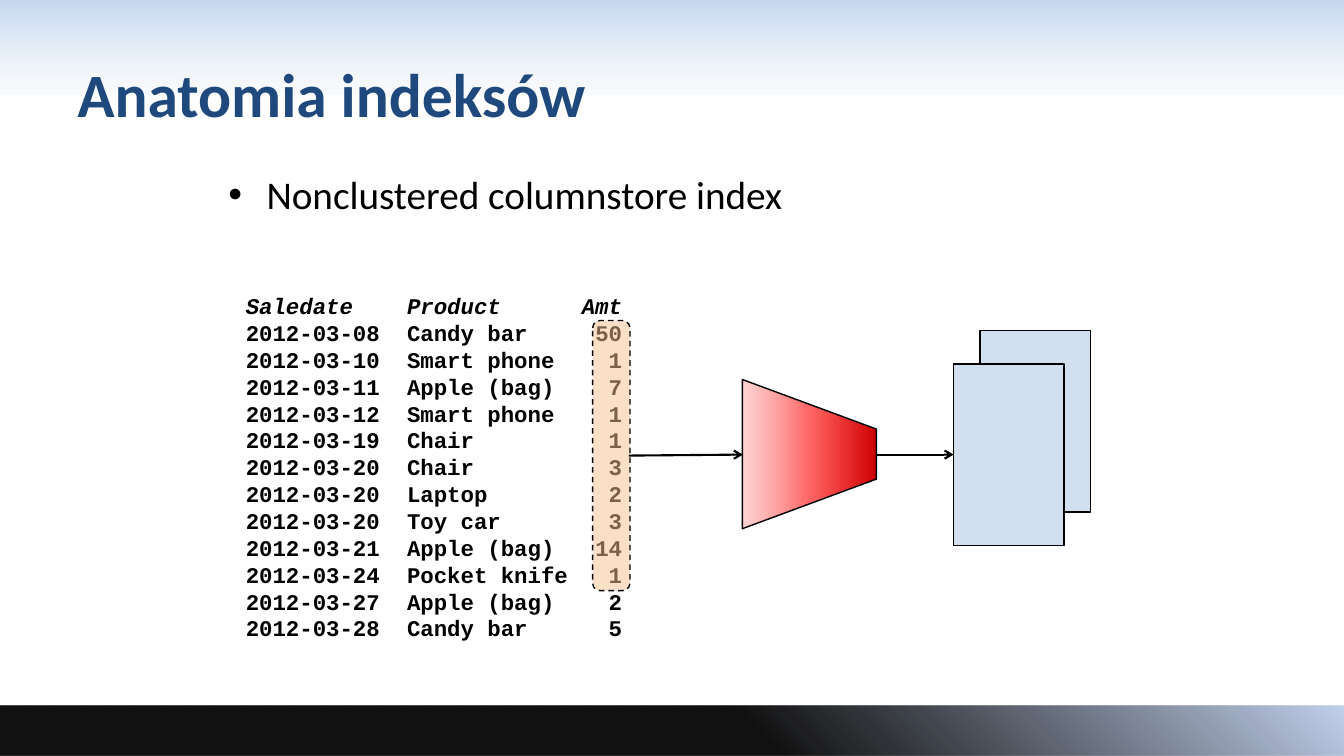
"""Builds a slide on how a columnstore index packs one column into pages."""
from lxml import etree
from pptx import Presentation
from pptx.dml.color import RGBColor
from pptx.enum.dml import MSO_LINE
from pptx.enum.shapes import MSO_CONNECTOR, MSO_SHAPE
from pptx.enum.text import MSO_ANCHOR, PP_ALIGN
from pptx.oxml.ns import qn
from pptx.util import Inches, Pt

RECT, ROUND, TRAP = MSO_SHAPE.RECTANGLE, MSO_SHAPE.ROUNDED_RECTANGLE, MSO_SHAPE.TRAPEZOID
LINE, DASH = MSO_CONNECTOR.STRAIGHT, MSO_LINE.DASH
LEFT, TOP, MID = PP_ALIGN.LEFT, MSO_ANCHOR.TOP, MSO_ANCHOR.MIDDLE

HUES = {"ink": "000000", "white": "FFFFFF", "navy": "1F497D", "sky": "C6D9F1",
        "mist": "E1E8F5", "haze": "C2D1ED", "peach": "FAC090", "blue": "4F81BD",
        "dark": "CC0000", "red": "FF0000", "rose": "FF3333"}

SALES = [("Saledate", "Product", "Amt"),
         ("2012-03-08", "Candy bar", "50"),
         ("2012-03-10", "Smart phone", "1"),
         ("2012-03-11", "Apple (bag)", "7"),
         ("2012-03-12", "Smart phone", "1"),
         ("2012-03-19", "Chair", "1"),
         ("2012-03-20", "Chair", "3"),
         ("2012-03-20", "Laptop", "2"),
         ("2012-03-20", "Toy car", "3"),
         ("2012-03-21", "Apple (bag)", "14"),
         ("2012-03-24", "Pocket knife", "1"),
         ("2012-03-27", "Apple (bag)", "2"),
         ("2012-03-28", "Candy bar", "5")]


def cell(num):
    return Inches(num / 3)


def hue(name):
    return RGBColor.from_string(HUES[name])


def sub(node, tag, **attrs):
    return etree.SubElement(node, qn(tag), {key: str(val) for key, val in attrs.items()})


def fade(node, share):
    if share < 100:
        sub(node, "a:alpha", val=share * 1000)


def write(par, text, font="Calibri", size=28, color="ink", bold=False, slant=False,
          bullet=None, tabs=()):
    props = par._p.get_or_add_pPr()
    par.alignment = LEFT
    if bullet:
        props.set("marL", str(Inches(0.38)))
        props.set("indent", str(-Inches(0.38)))
        sub(props, "a:buFont", typeface="Arial")
        sub(props, "a:buChar", char=bullet)
    if tabs:
        stops = sub(props, "a:tabLst")
        for pos, side in tabs:
            sub(stops, "a:tab", pos=cell(pos), algn=side)
    run = par.add_run()
    run.text = text
    face = run.font
    face.name, face.size, face.bold, face.italic = font, Pt(size), bold, slant
    face.color.rgb = hue(color)


class Deck:
    """Holds the style and the current slide on a grid of 40 by 22.5 cells."""

    def __init__(self):
        self.show = Presentation()
        self.show.slide_width, self.show.slide_height = cell(40), cell(22.5)
        self.slide = self.show.slides.add_slide(self.show.slide_layouts[5])
        self.shapes = self.slide.shapes

    def title(self, text, box):
        head = self.shapes.title
        self.shapes._spTree.append(head._element)
        head.left, head.top, head.width, head.height = map(cell, box)
        head.text_frame.vertical_anchor = MID
        write(head.text_frame.paragraphs[0], text, size=44, color="navy", bold=True)

    def text(self, rows, box, **style):
        frame = self.shapes.add_textbox(*map(cell, box)).text_frame
        frame.word_wrap, frame.vertical_anchor = True, TOP
        for num, (text, extra) in enumerate(rows):
            par = frame.add_paragraph() if num else frame.paragraphs[0]
            write(par, text, **style, **extra)

    def shape(self, kind, box, fill=None, clear=100, stops=None, angle=90,
              line=0, dash=None, bend=None, turn=0):
        form = self.shapes.add_shape(kind, *map(cell, box))
        form.shadow.inherit = False
        form.rotation = turn
        if bend is not None:
            form.adjustments[0] = bend
        if stops:
            self.blend(form, stops, angle)
        else:
            form.fill.solid()
            form.fill.fore_color.rgb = hue(fill)
            fade(form.fill._xPr.find(qn("a:solidFill"))[0], clear)
        if line:
            form.line.color.rgb, form.line.width = hue("ink"), Pt(line)
            if dash:
                form.line.dash_style = dash
        else:
            form.line.fill.background()

    def blend(self, form, stops, angle):
        form.fill.gradient()
        grad = form.fill._xPr.find(qn("a:gradFill"))
        for node in list(grad):
            grad.remove(node)
        grad.set("rotWithShape", "1")
        group = sub(grad, "a:gsLst")
        for pos, name, share in stops:
            stop = sub(group, "a:gs", pos=pos * 1000)
            fade(sub(stop, "a:srgbClr", val=HUES[name]), share)
        sub(grad, "a:lin", ang=angle * 60000, scaled=0)

    def arrow(self, *ends):
        link = self.shapes.add_connector(LINE, *map(cell, ends))
        link.line.color.rgb, link.line.width = hue("ink"), Pt(1.5)
        sub(link.line._get_or_add_ln(), "a:tailEnd", type="arrow")
        sub(link._element.spPr, "a:effectLst")


def main():
    deck = Deck()
    deck.shape(RECT, (0, 0, 40, 2.82), stops=[(0, "sky", 100), (100, "mist", 16)])
    deck.shape(RECT, (0, 21, 40, 1.5), angle=315,
               stops=[(56, "ink", 93), (100, "haze", 100)])
    deck.title("Anatomia indeksów", (2, 0.9, 36, 3.75))
    deck.text([("Nonclustered columnstore index", {"bullet": "•"})], (6.5, 4.92, 27, 15.3))
    rows = [("\t".join(sale), {"slant": num == 0}) for num, sale in enumerate(SALES)]
    deck.text(rows, (7.02, 8.55, 26.4, 10.8), font="Courier New", size=16, bold=True,
              tabs=[(4.8, "l"), (11.2, "r")])
    deck.shape(ROUND, (17.64, 9.54, 1.11, 8.04), "peach", 50, line=1, dash=DASH, bend=0.2)
    deck.shape(TRAP, (21.87, 11.52, 4.44, 3.99), line=1, bend=0.37, turn=90,
               stops=[(0, "dark", 100), (50, "red", 60), (100, "rose", 20)])
    deck.arrow(18.72, 13.56, 22.11, 13.53)
    back, front = (29.16, 9.84, 3.3, 5.4), (28.38, 10.84, 3.3, 5.4)
    deck.shape(RECT, back, "blue", 25, line=1.25)
    deck.shape(RECT, front, "white")
    deck.shape(RECT, front, "blue", 25, line=1.25)
    deck.arrow(26.1, 13.53, 28.38, 13.53)
    deck.show.save("out.pptx")


if __name__ == "__main__":
    main()
